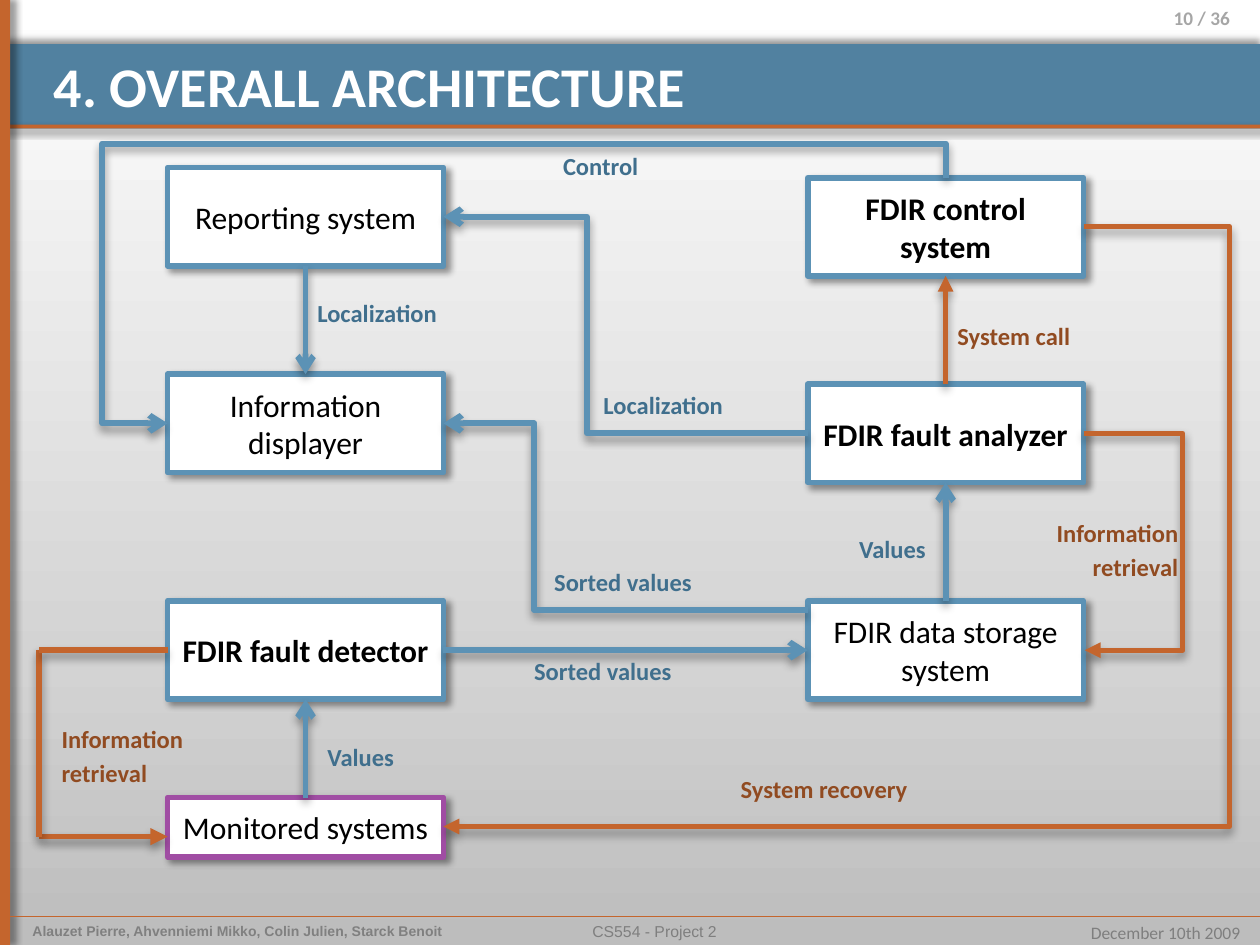
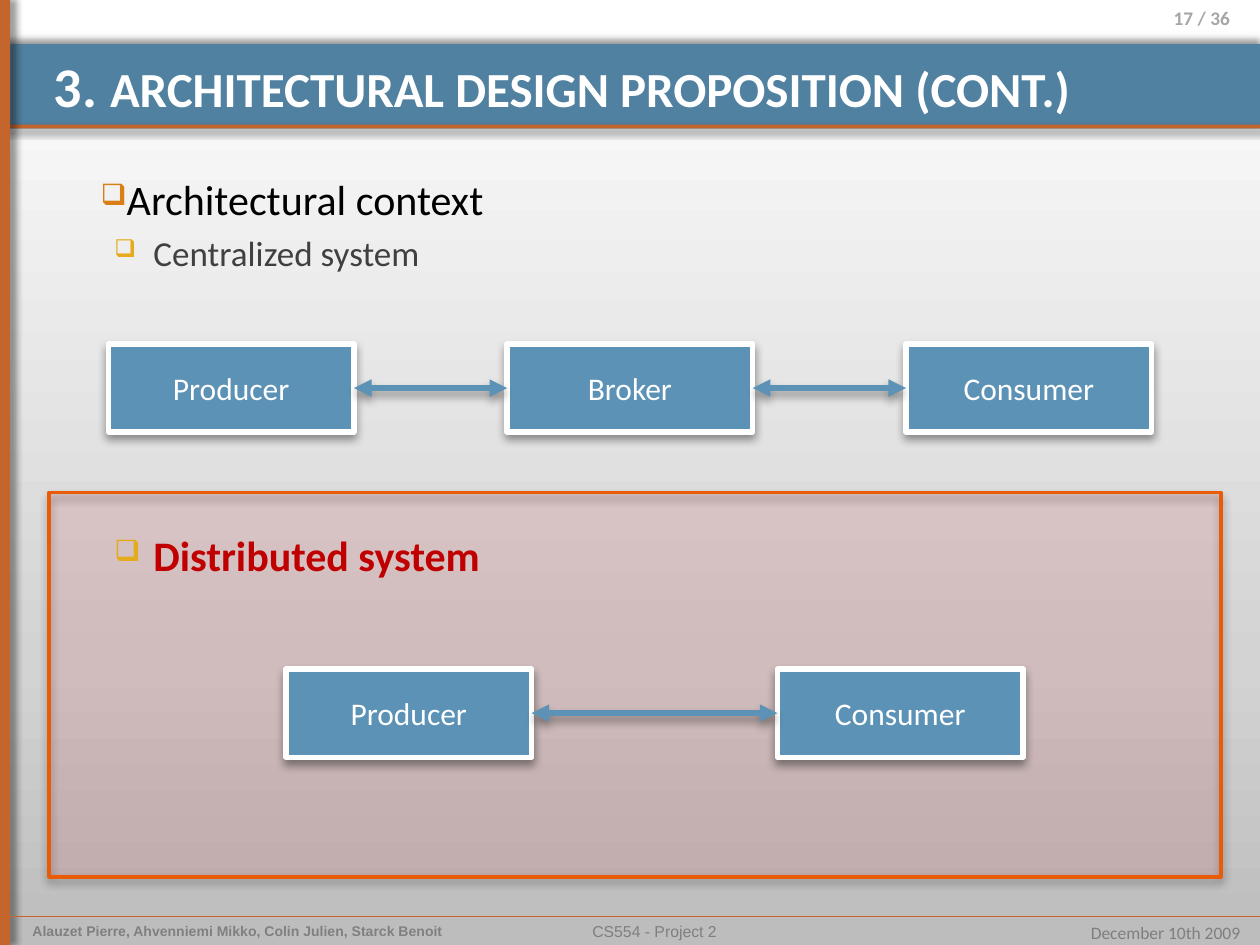
import pptx
import pptx.util
from lxml import etree
from pptx.dml.color import RGBColor
from pptx.enum.shapes import MSO_CONNECTOR, MSO_SHAPE
from pptx.enum.text import MSO_ANCHOR, PP_ALIGN
from pptx.oxml.ns import qn
from pptx.util import Inches

BLUE = RGBColor(0x5C, 0x92, 0xB5)
BAND_BLUE = RGBColor(0x51, 0x81, 0xA0)
LABEL_BLUE = RGBColor(0x40, 0x6F, 0x8D)
RUST = RGBColor(0xC4, 0x65, 0x2D)
LABEL_RUST = RGBColor(0x91, 0x4B, 0x21)
PURPLE = RGBColor(0xA0, 0x4D, 0xA3)
PANEL_RED = RGBColor(0xFF, 0x00, 0x00)
PANEL_EDGE = RGBColor(0xEA, 0x5B, 0x07)
DARK_RED = RGBColor(0xC0, 0x00, 0x00)
BULLET_ORANGE = RGBColor(0xDA, 0x7E, 0x18)
BULLET_GOLD = RGBColor(0xE5, 0xAB, 0x1B)
WHITE = RGBColor(0xFF, 0xFF, 0xFF)
BLACK = RGBColor(0, 0, 0)
CHARCOAL = RGBColor(0x40, 0x40, 0x40)
GREY = RGBColor(0x7F, 0x7F, 0x7F)
AUTHOR_GREY = RGBColor(0x80, 0x80, 0x80)
PAGE_GREY = RGBColor(0xA6, 0xA6, 0xA6)
BACKGROUND_STOPS = [(0, "BDBDBD"), (30, "D3D3D3"), (100, "FFFFFF")]

TOP, LEFT, BOTTOM, RIGHT = range(4)


def add_xml(parent, tag, **attributes):
    values = {name: str(value) for name, value in attributes.items()}
    return etree.SubElement(parent, qn(tag), values)


def add_shadow(shape, angle, blur=4):
    effects = add_xml(shape._element.spPr, "a:effectLst")
    shadow = add_xml(effects, "a:outerShdw", blurRad=pptx.util.Pt(blur),
                     dist=pptx.util.Pt(3), dir=angle * 60000, rotWithShape=0)
    color = add_xml(shadow, "a:srgbClr", val="000000")
    add_xml(color, "a:alpha", val=40000)


def add_run(p, text, size=18, color=BLACK, bold=False, font="Calibri"):
    r = p.add_run()
    r.text = text
    r.font.size = pptx.util.Pt(size)
    r.font.color.rgb = color
    r.font.bold = bold
    r.font.name = font


def add_text(tf, text, align=PP_ALIGN.LEFT, anchor=MSO_ANCHOR.TOP, **font):
    tf.word_wrap = True
    tf.vertical_anchor = anchor
    for i, line in enumerate(text.split("\n")):
        p = tf.add_paragraph() if i else tf.paragraphs[0]
        p.alignment = align
        if i:
            p.space_before = pptx.util.Pt(2.5)
        add_run(p, line, **font)


def add_textbox(s, box):
    tf = s.shapes.add_textbox(*map(Inches, box)).text_frame
    tf.word_wrap = True
    return tf


def add_rect(s, box, fill, line=None, width=3.35):
    sp = s.shapes.add_shape(MSO_SHAPE.RECTANGLE, *map(Inches, box))
    sp.fill.solid()
    sp.fill.fore_color.rgb = fill
    if line is None:
        sp.line.fill.background()
    else:
        sp.line.color.rgb = line
        sp.line.width = pptx.util.Pt(width)
    return sp


def add_node(s, box, text, fill, line, width, angle, blur, **font):
    sp = add_rect(s, box, fill, line, width)
    add_shadow(sp, angle, blur)
    add_text(sp.text_frame, text, PP_ALIGN.CENTER, MSO_ANCHOR.MIDDLE, **font)
    return sp


def add_line(s, start, end, color, width=3.35, head=None, tail=None,
             kind=MSO_CONNECTOR.STRAIGHT, angle=90, blur=5.2):
    cx = s.shapes.add_connector(kind, *map(Inches, (*start, *end)))
    cx.line.color.rgb = color
    cx.line.width = pptx.util.Pt(width)
    ln = cx.line._get_or_add_ln()
    for tag, arrow in (("a:headEnd", head), ("a:tailEnd", tail)):
        if arrow:
            add_xml(ln, tag, type=arrow)
    add_shadow(cx, angle, blur)
    return cx


def add_link(s, first, first_side, second, second_side, color, **style):
    cx = add_line(s, (0, 0), (1, 1), color, **style)
    cx.begin_connect(first, first_side)
    cx.end_connect(second, second_side)


def add_elbow(s, start, end, color, bend_x, bend_y=None, **style):
    cx = add_line(s, start, end, color, kind=MSO_CONNECTOR.ELBOW, **style)
    geometry = cx._element.spPr.find(qn("a:prstGeom"))
    ratios = [(bend_x - start[0]) / (end[0] - start[0])]
    if bend_y is not None:
        geometry.set("prst", "bentConnector4")
        ratios.append((bend_y - start[1]) / (end[1] - start[1]))
    guides = geometry.find(qn("a:avLst"))
    for i, ratio in enumerate(ratios, 1):
        add_xml(guides, "a:gd", name=f"adj{i}", fmla=f"val {round(ratio * 100000)}")


def add_background(s):
    s.background.fill.gradient()
    gradient = s._element.find(".//" + qn("a:gradFill"))
    for child in list(gradient):
        gradient.remove(child)
    stops = add_xml(gradient, "a:gsLst")
    for position, color in BACKGROUND_STOPS:
        stop = add_xml(stops, "a:gs", pos=position * 1000)
        add_xml(stop, "a:srgbClr", val=color)
    add_xml(gradient, "a:lin", ang=270 * 60000, scaled=0)


def add_frame(prs, page, title_runs):
    s = prs.slides.add_slide(prs.slide_layouts[6])
    add_background(s)
    for box, color, angle in (
        ((0, 0.35, 10, 0.67), BAND_BLUE, 270),
        ((0, 0.99, 10, 0.03), RUST, 45),
        ((0, 0, 0.08, 7.5), RUST, 0),
    ):
        add_shadow(add_rect(s, box, color), angle)
    add_line(s, (0.08, 7.27), (10, 7.27), RUST, 0.25, angle=45, blur=4)
    for box, text, align, font in (
        ((0.16, 7.27, 3.67, 0.23),
         "Alauzet Pierre, Ahvenniemi Mikko, Colin Julien, Starck Benoit",
         PP_ALIGN.LEFT, dict(size=8, color=AUTHOR_GREY, bold=True, font="Arial")),
        ((2.11, 7.27, 6.17, 0.23), "CS554 - Project 2",
         PP_ALIGN.CENTER, dict(size=9, color=GREY, font="Arial")),
        ((8.33, 7.27, 1.61, 0.27), "December 10th 2009",
         PP_ALIGN.RIGHT, dict(size=10, color=GREY)),
        ((8.83, 0, 1.03, 0.39), f"{page} / 36",
         PP_ALIGN.RIGHT, dict(size=11, color=PAGE_GREY, bold=True)),
    ):
        add_text(add_textbox(s, box), text, align, **font)
    p = add_textbox(s, (0.33, 0.36, 9.28, 0.58)).paragraphs[0]
    for text, size in title_runs:
        add_run(p, text, size=size, color=WHITE, bold=True)
    return s


def add_architecture(s, box):
    x, y, width, height = box
    node_w, node_h = 2.19, 0.78
    right_x = x + width - node_w
    left_mid, right_mid = x + node_w, x + width

    def node(left, top, text, bold=False, line=BLUE, h=node_h):
        return add_node(s, (left, top, node_w, h), text, WHITE, line,
                        3.35, 45, 4, bold=bold)

    reporting = node(x, y, "Reporting system")
    displayer = node(x, y + 1.64, "Information displayer")
    detector = node(x, y + 3.44, "FDIR fault detector", True)
    monitored = node(x, y + height - 0.47, "Monitored systems", line=PURPLE, h=0.47)
    control = node(right_x, y + 0.08, "FDIR control system", True)
    analyzer = node(right_x, y + 1.72, "FDIR fault analyzer", True)
    storage = node(right_x, y + 3.44, "FDIR data storage system")

    for first, first_side, second, second_side in (
        (detector, RIGHT, storage, LEFT),
        (storage, TOP, analyzer, BOTTOM),
        (monitored, TOP, detector, BOTTOM),
        (reporting, BOTTOM, displayer, TOP),
    ):
        add_link(s, first, first_side, second, second_side, BLUE, tail="arrow")
    add_link(s, analyzer, TOP, control, BOTTOM, RUST, width=3, tail="triangle")

    display_y, analyzer_y, storage_y = y + 2.03, y + 2.11, y + 3.83
    add_elbow(s, (right_x, y + 3.51), (left_mid, display_y), BLUE,
              x + 2.91, tail="arrow")
    add_elbow(s, (right_x, analyzer_y), (left_mid, y + 0.39), BLUE,
              x + 3.33, tail="arrow")
    add_elbow(s, (x, display_y), (right_x + node_w / 2, y + 0.08), BLUE,
              x - 0.52, y - 0.19, head="arrow")
    add_elbow(s, (right_mid, analyzer_y), (right_mid + 0.01, storage_y), RUST,
              right_mid + 0.8, width=3, tail="triangle")
    add_elbow(s, (right_mid, y + 0.47), (left_mid, y + 5.23), RUST,
              right_mid + 1.16, width=3, tail="triangle")

    loop_x, loop_y = x - 1.02, y + 5.31
    add_line(s, (loop_x, loop_y), (x, loop_y), RUST, 3.25, tail="triangle")
    add_line(s, (loop_x, storage_y), (loop_x, loop_y), RUST)
    add_link_start = add_line(s, (x, storage_y), (loop_x, storage_y), RUST)
    add_link_start.begin_connect(detector, LEFT)

    for dx, dy, text, color, align in (
        (6.17, 1.17, "System call", LABEL_RUST, PP_ALIGN.LEFT),
        (6.01, 2.73, "Information\nretrieval", LABEL_RUST, PP_ALIGN.RIGHT),
        (-0.94, 4.37, "Information\nretrieval", LABEL_RUST, PP_ALIGN.LEFT),
        (4.45, 4.76, "System recovery", LABEL_RUST, PP_ALIGN.LEFT),
        (3.36, 1.72, "Localization", LABEL_BLUE, PP_ALIGN.LEFT),
        (1.09, 0.99, "Localization", LABEL_BLUE, PP_ALIGN.LEFT),
        (2.81, 3.83, "Sorted values", LABEL_BLUE, PP_ALIGN.LEFT),
        (2.97, 3.12, "Sorted values", LABEL_BLUE, PP_ALIGN.LEFT),
        (5.39, 2.86, "Values", LABEL_BLUE, PP_ALIGN.LEFT),
        (1.17, 4.51, "Values", LABEL_BLUE, PP_ALIGN.LEFT),
        (3.04, -0.18, "Control", LABEL_BLUE, PP_ALIGN.LEFT),
    ):
        h = 0.62 if "\n" in text else 0.34
        add_text(add_textbox(s, (x + dx, y + dy, 2.11, h)), text, align,
                 size=14, color=color, bold=True)


def add_bullets(s, box, items):
    tf = add_textbox(s, box)
    for i, (text, margin, indent, bullet_color, font) in enumerate(items):
        p = tf.add_paragraph() if i else tf.paragraphs[0]
        if i:
            p.space_before = pptx.util.Pt(4)
        pPr = p._p.get_or_add_pPr()
        pPr.set("marL", str(Inches(margin)))
        pPr.set("indent", str(Inches(indent)))
        add_xml(add_xml(pPr, "a:buClr"), "a:srgbClr", val=bullet_color)
        add_xml(pPr, "a:buSzPct", val=70000)
        add_xml(pPr, "a:buChar", char="❑")
        add_run(p, text, **font)


def add_chain(s, box, steps):
    x, y, width, height = box
    node_w = 1.95
    pitch = (width - node_w) / (len(steps) - 1)
    nodes = [add_node(s, (x + i * pitch, y, node_w, height), step, BLUE, WHITE,
                      3, 90, 5.2, color=WHITE) for i, step in enumerate(steps)]
    for first, second in zip(nodes, nodes[1:]):
        add_link(s, first, RIGHT, second, LEFT, BLUE, head="triangle", tail="triangle")


def add_highlight(s, box):
    panel = add_rect(s, box, PANEL_RED, PANEL_EDGE, 2)
    color = panel._element.spPr.find(qn("a:solidFill"))[0]
    add_xml(color, "a:alpha", val=8000)
    add_shadow(panel, 90, 5.2)


def add_context(s, box):
    x, y, width, height = box
    add_highlight(s, (x + 0.08, y + 2.58, 9.3, 3.05))
    add_bullets(s, (x, y, width, 1), [
        ("Architectural context", 0, 0.39, BULLET_ORANGE, dict(size=24)),
        ("Centralized system", 0.81, -0.31, BULLET_GOLD, dict(size=20, color=CHARCOAL)),
    ])
    add_bullets(s, (x, y + 2.82, width, 0.5), [
        ("Distributed system", 0.81, -0.31, BULLET_GOLD,
         dict(size=24, color=DARK_RED, bold=True)),
    ])
    add_chain(s, (x + 0.55, y + 1.4, 8.28, 0.7), ["Producer", "Broker", "Consumer"])
    add_chain(s, (x + 1.96, y + 3.98, 5.85, 0.7), ["Producer", "Consumer"])


def main():
    prs = pptx.Presentation()
    prs.slide_width, prs.slide_height = Inches(10), Inches(7.5)
    s = add_frame(prs, 10, [("4. OVERALL ARCHITECTURE", 32)])
    add_architecture(s, (1.33, 1.33, 7.27, 5.47))
    s = add_frame(prs, 17, [("3. ", 32), ("ARCHITECTURAL DESIGN PROPOSITION (CONT.)", 28)])
    add_context(s, (0.31, 1.33, 9.69, 5.86))
    prs.save("out.pptx")


if __name__ == "__main__":
    main()
